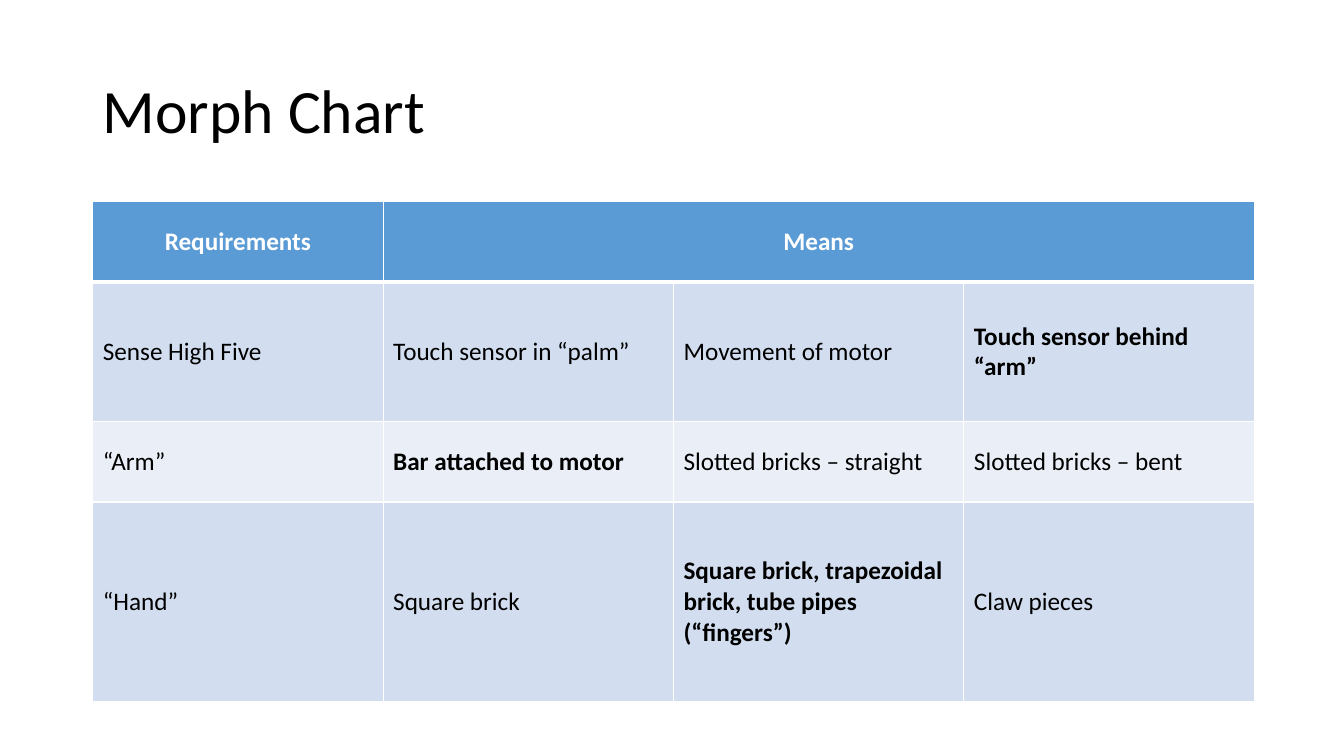
from dataclasses import dataclass

from lxml import etree
from pptx import Presentation
from pptx import util as u
from pptx.dml.color import RGBColor
from pptx.enum import text
from pptx.oxml import ns

EMU_PER_PX = 9144  # 100 px to the inch


def px(length):
    return u.Emu(length * EMU_PER_PX)


@dataclass(frozen=True)
class Theme:
    font: str = "Calibri"
    title_size: int = 44
    body_size: int = 18
    ink: str = "000000"
    white: str = "FFFFFF"
    header: str = "5B9BD5"
    bands: tuple = ("D2DEEF", "EAEFF7")
    thin: int = 1
    thick: int = 3


def write(frame, content, *, font, size, color, bold=False,
          align=text.PP_ALIGN.LEFT, line_spacing=None):
    """Put one formatted paragraph into a text frame."""
    paragraph = frame.paragraphs[0]
    paragraph.alignment = align
    paragraph.line_spacing = line_spacing
    run = paragraph.add_run()
    run.text = content
    run.font.name = font
    run.font.size = u.Pt(size)
    run.font.bold = bold
    run.font.color.rgb = RGBColor.from_string(color)


class SlideBuilder:
    def __init__(self, presentation, theme):
        self.theme = theme
        self.slide = presentation.slides.add_slide(presentation.slide_layouts[5])

    def title(self, content, left, top, width, height):
        shape = self.slide.shapes.title
        shape.left, shape.top, shape.width, shape.height = map(
            px, (left, top, width, height))
        frame = shape.text_frame
        frame.word_wrap = True
        frame.auto_size = text.MSO_AUTO_SIZE.NONE
        frame.vertical_anchor = text.MSO_ANCHOR.MIDDLE
        write(frame, content, font=self.theme.font, size=self.theme.title_size,
              color=self.theme.ink, line_spacing=0.9)

    def border(self, cell, side, width):
        line = etree.SubElement(cell._tc.get_or_add_tcPr(), ns.qn(f"a:ln{side}"),
                                w=str(u.Pt(width)))
        fill = etree.SubElement(line, ns.qn("a:solidFill"))
        etree.SubElement(fill, ns.qn("a:srgbClr"), val=self.theme.white)

    def cell(self, cell, content, row, bold):
        theme = self.theme
        is_header = row == 0
        # The rule under the header is shared by rows 0 and 1
        heavy_side = {0: "B", 1: "T"}.get(row)
        for side in "LRTB":
            self.border(cell, side, theme.thick if side == heavy_side else theme.thin)
        cell.fill.solid()
        cell.fill.fore_color.rgb = RGBColor.from_string(
            theme.header if is_header else theme.bands[(row - 1) % 2])
        cell.vertical_anchor = text.MSO_ANCHOR.MIDDLE
        if content:
            write(cell.text_frame, content, font=theme.font, size=theme.body_size,
                  color=theme.white if is_header else theme.ink,
                  bold=is_header or bold,
                  align=text.PP_ALIGN.CENTER if is_header else text.PP_ALIGN.LEFT)

    def table(self, rows, chosen, left, top, column_width, row_heights):
        columns = len(rows[0])
        table = self.slide.shapes.add_table(
            len(rows), columns, px(left), px(top),
            px(column_width * columns), px(sum(row_heights))).table
        for column in table.columns:
            column.width = px(column_width)
        for table_row, height in zip(table.rows, row_heights):
            table_row.height = px(height)
        table.cell(0, 1).merge(table.cell(0, columns - 1))
        for row, contents in enumerate(rows):
            for column, content in enumerate(contents):
                self.cell(table.cell(row, column), content, row,
                          bold=(row, column) in chosen)


MORPH_ROWS = [
    ["Requirements", "Means", None, None],
    ["Sense High Five", "Touch sensor in “palm”", "Movement of motor",
     "Touch sensor behind “arm”"],
    ["“Arm”", "Bar attached to motor", "Slotted bricks – straight",
     "Slotted bricks – bent"],
    ["“Hand”", "Square brick",
     "Square brick, trapezoidal brick, tube pipes (“fingers”)", "Claw pieces"],
]
CHOSEN_MEANS = {(1, 3), (2, 1), (3, 2)}


def main():
    presentation = Presentation()
    presentation.slide_width, presentation.slide_height = px(1333), px(750)
    builder = SlideBuilder(presentation, Theme())

    # Heading
    builder.title("Morph Chart", 92, 40, 1150, 145)

    # Requirements against means, with the chosen means in bold
    builder.table(MORPH_ROWS, CHOSEN_MEANS, left=92, top=200, column_width=288,
                  row_heights=[80, 138, 80, 198])

    presentation.save("out.pptx")


if __name__ == "__main__":
    main()
